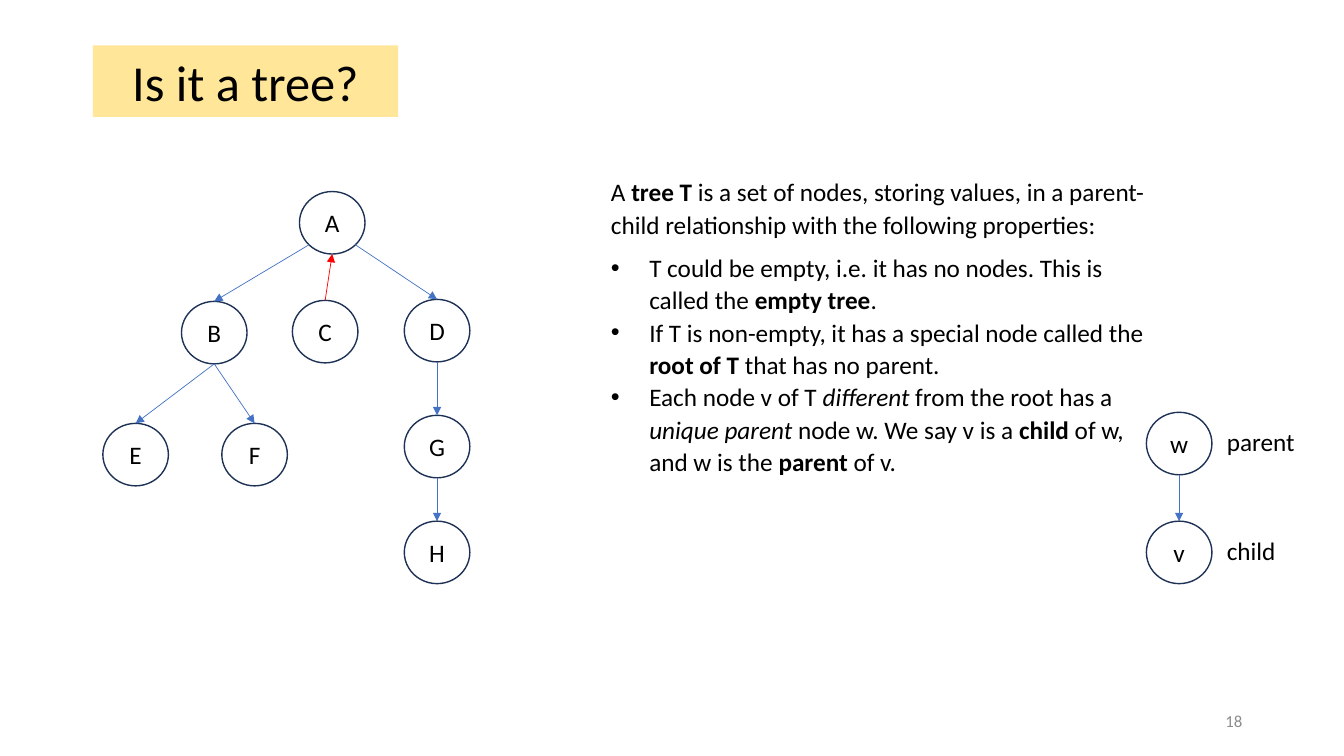
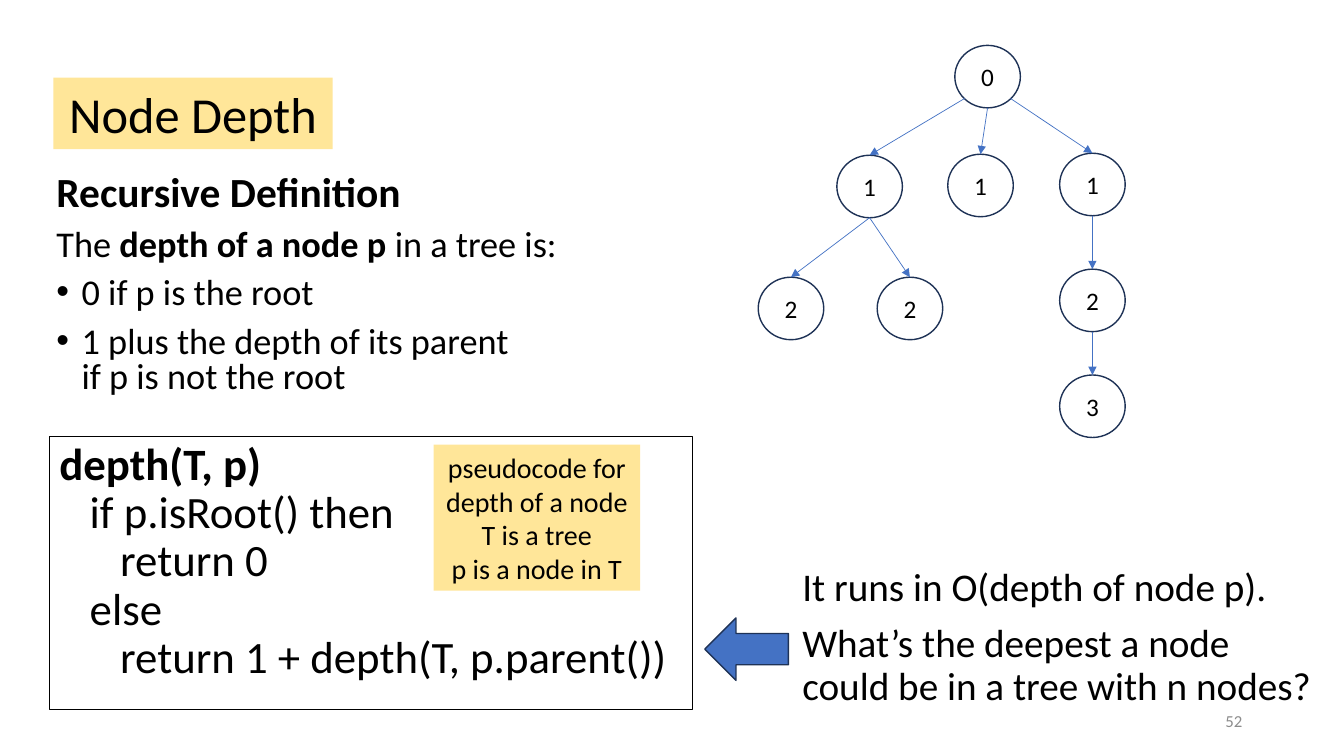
from copy import deepcopy
from itertools import repeat

from lxml.etree import SubElement as Sub
from pptx import Presentation
from pptx.dml.color import RGBColor as RGB
from pptx.enum.shapes import MSO_CONNECTOR as Link, MSO_SHAPE as Form
from pptx.enum.text import MSO_ANCHOR as Anchor, MSO_AUTO_SIZE as Auto, PP_ALIGN as Align
from pptx.oxml.ns import qn
from pptx.util import Pt

PX = 9144  # 100 px to the inch
FONT = "Calibri"
COLORS = {
    "text": "000000",
    "band": "FFE699",
    "edge": "4472C4",
    "wrong": "FF0000",
    "ring": "1E3256",
    "page": "8C8C8C",
}
NODE = (65, 62)
PORTS = {"top": (0.5, 0), "low": (0.5, 1), "left": (0.15, 0.85), "right": (0.85, 0.85)}
SPOTS = {
    "A": (0, 0), "B": (-117, 109), "C": (-7, 108), "D": (104, 107),
    "E": (-195, 230), "F": (-77, 230), "G": (104, 222), "H": (104, 327),
}
EDGES = [
    ("A", "left", "B"), ("A", "low", "C"), ("A", "right", "D"),
    ("B", "low", "E"), ("B", "low", "F"), ("D", "low", "G"), ("G", "low", "H"),
]


def rgb(name):
    return RGB.from_string(COLORS[name])


def px(*sizes):
    return [round(size * PX) for size in sizes]


def apply(item, values):
    for name, value in values.items():
        setattr(item, name, value)


def port(spot, side):
    """Point where an edge meets the node whose top left corner is spot."""
    return [at + size * part for at, size, part in zip(spot, NODE, PORTS[side])]


class Deck:
    def __init__(self):
        self.prs = Presentation()
        self.prs.slide_width, self.prs.slide_height = px(1333, 750)
        self.slide = None

    def page(self, title, box, number):
        self.slide = self.prs.slides.add_slide(self.prs.slide_layouts[1])
        head = self.slide.shapes.title
        self.place(head, box)
        self.paint(head, "band")
        self.put(head, [title], 36, align=Align.CENTER, anchor=Anchor.MIDDLE)
        self.label(str(number), (942, 695, 300, 40), 12, color="page",
                   align=Align.RIGHT, anchor=Anchor.MIDDLE)

    def place(self, shape, box):
        apply(shape, dict(zip(("left", "top", "width", "height"), px(*box))))

    def paint(self, shape, fill=None, line=None, width=1):
        if fill:
            shape.fill.solid()
            shape.fill.fore_color.rgb = rgb(fill)
        else:
            shape.fill.background()
        if line:
            shape.line.color.rgb = rgb(line)
            shape.line.width = Pt(width)
        else:
            shape.line.fill.background()

    def put(self, shape, paras, size, color="text", align=Align.LEFT, anchor=Anchor.TOP,
            space=1.0, gaps=repeat(0), dots=None, inset=None):
        """Fill a shape with paragraphs; those after the first few get bullets.

        A paragraph is a string or a list of strings and (text, style) pairs.
        dots is (index of first bullet, indent); gaps are points before each.
        """
        frame = shape.text_frame
        apply(frame, {"word_wrap": True, "auto_size": Auto.NONE, "vertical_anchor": anchor})
        if inset is not None:
            sides = ("left", "top", "right", "bottom")
            apply(frame, {f"margin_{side}": inset for side in sides})
        for i, (runs, gap) in enumerate(zip(paras, gaps)):
            para = frame.add_paragraph() if i else frame.paragraphs[0]
            self.mark(para, dots[1] if dots and i >= dots[0] else 0)
            apply(para, {"alignment": align, "line_spacing": space,
                         "space_before": Pt(gap), "space_after": Pt(0)})
            for run in [runs] if isinstance(runs, str) else runs:
                text, style = (run, None) if isinstance(run, str) else run
                self.add(para, text, style, size, color)

    def mark(self, para, indent):
        props = para._p.get_or_add_pPr()
        props.set("marL", str(indent * PX))
        props.set("indent", str(-indent * PX))
        if indent:
            Sub(props, qn("a:buFont")).set("typeface", "Arial")
            Sub(props, qn("a:buChar")).set("char", "•")
        else:
            Sub(props, qn("a:buNone"))

    def add(self, para, text, style, size, color):
        """Add text to a paragraph; a line break keeps the format before it."""
        for i, piece in enumerate(text.split("\n")):
            if i:
                props = para.runs[-1]._r.rPr
                para.add_line_break()
                para._p[-1].append(deepcopy(props))
            run = para.add_run()
            run.text = piece
            look = {"name": FONT, "size": Pt(size)}
            if style:
                look[style] = True
            apply(run.font, look)
            run.font.color.rgb = rgb(color)

    def body(self, paras, box, size, **look):
        shape = self.slide.placeholders[1]
        self.place(shape, box)
        self.put(shape, paras, size, **look)
        return shape

    def label(self, text, box, size=18, **look):
        shape = self.slide.shapes.add_textbox(*px(*box))
        self.put(shape, [text] if isinstance(text, str) else text, size, **look)

    def form(self, kind, box, fill=None, line=None, width=1):
        shape = self.slide.shapes.add_shape(kind, *px(*box))
        shape.shadow.inherit = False
        self.paint(shape, fill, line, width)
        return shape

    def node(self, text, spot):
        shape = self.form(Form.OVAL, (*spot, *NODE), line="ring")
        self.put(shape, [text], 18, align=Align.CENTER, anchor=Anchor.MIDDLE, inset=0)

    def edge(self, start, end, color="edge"):
        link = self.slide.shapes.add_connector(Link.STRAIGHT, *px(*start, *end))
        link.line.color.rgb = rgb(color)
        link.line.width = Pt(0.5)
        props = link._element.spPr
        Sub(props.find(qn("a:ln")), qn("a:tailEnd")).set("type", "triangle")
        Sub(props, qn("a:effectLst"))

    def tree(self, left, top, names, wrong=()):
        """Draw the sample tree; edges to nodes in wrong point up, in red."""
        spots = {key: (left + x, top + y) for key, (x, y) in SPOTS.items()}
        for key, name in zip(SPOTS, names):
            self.node(name, spots[key])
        for source, side, child in EDGES:
            ends = port(spots[source], side), port(spots[child], "top")
            if child in wrong:
                self.edge(*reversed(ends), "wrong")
            else:
                self.edge(*ends)


def ask(deck):
    deck.page("Is it a tree?", (92, 45, 303, 71), 18)
    deck.tree(297, 190, "ABCDEFGH", wrong="C")
    deck.body([
        ["A ", ("tree T", "bold"), " is a set of nodes, storing values, in a parent-child "
         "relationship with the following properties:"],
        ["T could be empty, i.e. it has no nodes. This is called the ",
         ("empty tree", "bold"), "."],
        ["If T is non-empty, it has a special node called the ",
         ("root of T", "bold"), " that has no parent."],
        ["Each node v of T ", ("different", "italic"), " from the root has a ",
         ("unique parent", "italic"), " node w. We say v is a ", ("child", "bold"),
         " of w, and w is the ", ("parent", "bold"), " of v."],
    ], (596, 168, 563, 312), 18, space=1.07, gaps=(0, 8, 0, 0), dots=(1, 38))
    upper, lower = (1137, 409), (1137, 517)
    for name, role, spot in (("w", "parent", upper), ("v", "child", lower)):
        deck.node(name, spot)
        deck.label(role, (1207, spot[1] + 9, 100, 40))
    deck.edge(port(upper, "low"), port(lower, "top"))


def depth(deck):
    deck.page("Node Depth", (53, 77, 277, 71), 52)
    shape = deck.body([
        [("Recursive Definition", "bold")],
        ["The ", ("depth of a node p ", "bold"), "in a tree is:"],
        "0 if p is the root",
        "1 plus the depth of its parent \nif p is not the root",
    ], (46, 169, 560, 242), 25.9, space=0.8, gaps=(0, 10, 10, 10), dots=(2, 25))
    shape.text_frame.paragraphs[0].runs[0].font.size = Pt(29.6)
    deck.tree(947, 45, "01112223")

    code = deck.form(Form.RECTANGLE, (49, 433, 638, 271), line="text", width=0.75)
    deck.put(code, [
        [("depth(T, p)", "bold")],
        "   if p.isRoot() then",
        "      return 0",
        "   else",
        "      return 1 + depth(T, p.parent())",
    ], 32, space=0.9)
    note = deck.form(Form.RECTANGLE, (430, 441, 205, 145), fill="band")
    deck.put(note, ["pseudocode for depth of a node", "T is a tree", "p is a node in T"],
             20, align=Align.CENTER, anchor=Anchor.MIDDLE)
    deck.form(Form.LEFT_ARROW, (699, 613, 83, 62), fill="edge", line="ring")
    deck.label(["It runs in O(depth of node p).",
                "What’s the deepest a node could be in a tree with n nodes?"],
               (786, 558, 530, 171), 28, space=0.9, gaps=(0, 10))


def main():
    deck = Deck()
    ask(deck)
    depth(deck)
    deck.prs.save("out.pptx")


if __name__ == "__main__":
    main()
